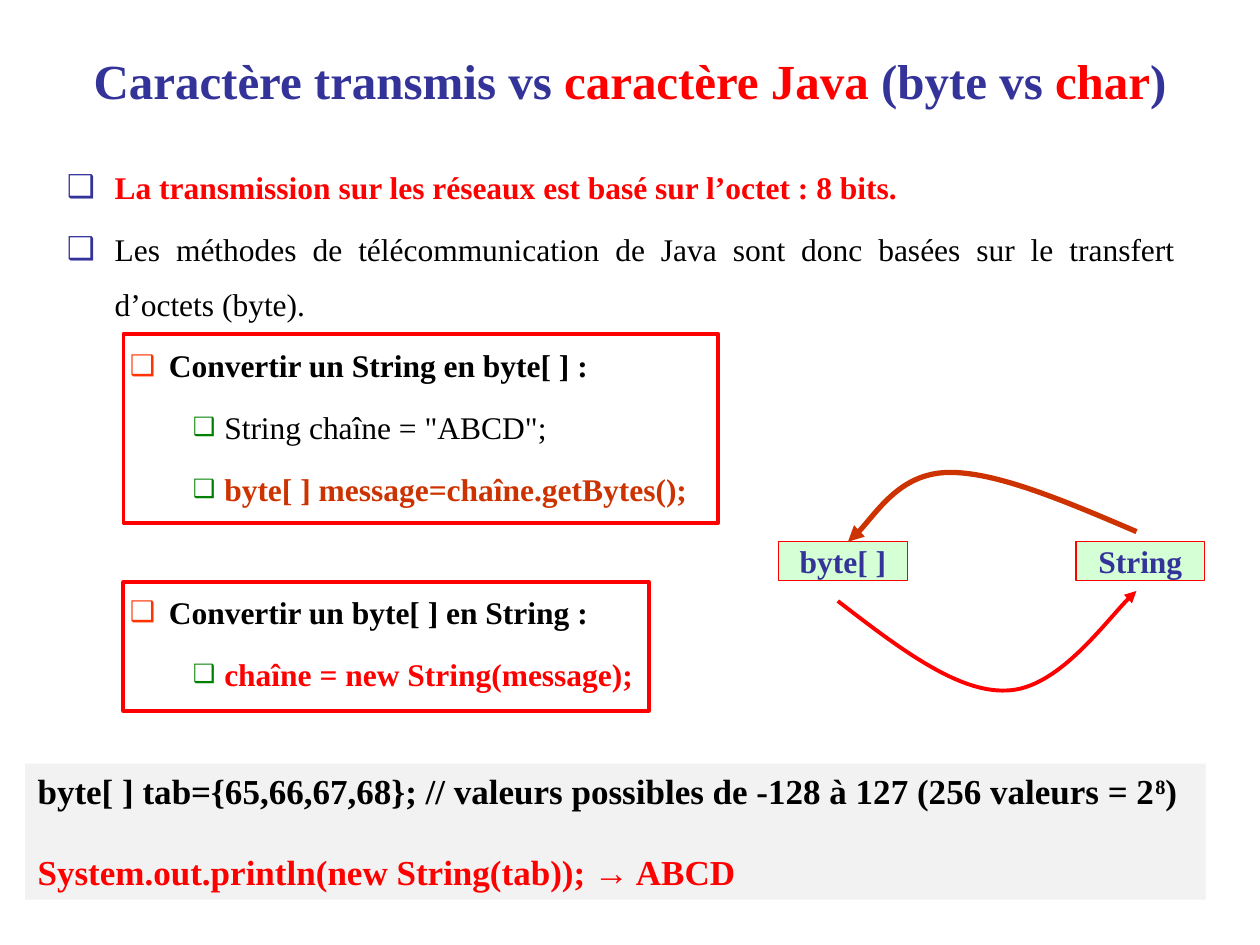
import dataclasses
import typing

import lxml.etree
import pptx
import pptx.dml.color
import pptx.enum.shapes
import pptx.enum.text
import pptx.oxml.ns
import pptx.util

Inches = pptx.util.Inches
Pt = pptx.util.Pt
RGBColor = pptx.dml.color.RGBColor
Align = pptx.enum.text.PP_ALIGN
Anchor = pptx.enum.text.MSO_ANCHOR
qn = pptx.oxml.ns.qn

FONT = "Times New Roman"
NAVY = RGBColor(0x33, 0x33, 0x99)
RED = RGBColor(0xFF, 0x00, 0x00)
BLACK = RGBColor(0x00, 0x00, 0x00)
RUST = RGBColor(0xCC, 0x33, 0x00)
ORANGE = RGBColor(0xFF, 0x33, 0x00)
GREEN = RGBColor(0x00, 0x80, 0x00)
MINT = RGBColor(0xD5, 0xFF, 0xD5)
GREY = RGBColor(0xF2, 0xF2, 0xF2)

Point = tuple[float, float]


@dataclasses.dataclass(frozen=True)
class Box:
    left: float
    top: float
    width: float
    height: float


@dataclasses.dataclass(frozen=True)
class BulletLevel:
    margin: float
    hanging: float
    color: RGBColor
    percent: int


@dataclasses.dataclass(frozen=True)
class Item:
    text: str
    level: int
    color: RGBColor = BLACK
    bold: bool = True
    space_before: float = 4


@dataclasses.dataclass(frozen=True)
class Arrow:
    points: tuple[Point, ...]
    color: RGBColor
    weight: float


LEVELS = (
    BulletLevel(0.38, 0.38, NAVY, 100),
    BulletLevel(0.81, 0.31, ORANGE, 90),
    BulletLevel(1.25, 0.25, GREEN, 80),
)

ITEMS = (
    Item("La transmission sur les réseaux est basé sur l’octet : 8 bits.", 0, RED),
    Item("Les méthodes de télécommunication de Java sont donc basées sur le "
         "transfert d’octets (byte).", 0, bold=False),
    Item("Convertir un String en byte[ ] :", 1),
    Item('String chaîne = "ABCD";', 2, bold=False),
    Item("byte[ ] message=chaîne.getBytes();", 2, RUST),
    Item("Convertir un byte[ ] en String :", 1, space_before=39),
    Item("chaîne = new String(message);", 2, RED),
)

TITLE_PARTS = (
    ("Caractère transmis vs ", NAVY),
    ("caractère Java", RED),
    (" (byte vs ", NAVY),
    ("char", RED),
    (")", NAVY),
)

TYPE_LABELS = (("String", 8.54), ("byte[ ]", 6.18))

CONVERSIONS = (
    Arrow(((9.02, 4.22), (8.46, 3.98), (7.9, 3.74), (7.52, 3.75),
           (7.14, 3.76), (6.86, 4.21), (6.73, 4.3)), RUST, 3),
    Arrow(((6.65, 4.77), (7.13, 5.14), (7.6, 5.5), (7.99, 5.48),
           (8.39, 5.47), (8.85, 4.83), (9.02, 4.69)), RED, 2.25),
)

CODE_FRAMES = (Box(0.98, 2.65, 4.72, 1.5), Box(0.98, 4.62, 4.17, 1.02))


def add_run(paragraph, text: str, *, size: float = 18, color: RGBColor = BLACK,
            bold: bool = True, superscript: bool = False) -> None:
    run = paragraph.add_run()
    run.text = text
    run.font.name = FONT
    run.font.size = Pt(size)
    run.font.bold = bold
    run.font.color.rgb = color
    if superscript:
        run._r.get_or_add_rPr().set("baseline", "30000")


def place(placeholder, box: Box) -> None:
    placeholder.left, placeholder.top = Inches(box.left), Inches(box.top)
    placeholder.width, placeholder.height = Inches(box.width), Inches(box.height)
    placeholder.text_frame.auto_size = pptx.enum.text.MSO_AUTO_SIZE.NONE


def set_bullet(paragraph, bullet: BulletLevel) -> None:
    properties = paragraph._p.get_or_add_pPr()
    properties.set("marL", str(Inches(bullet.margin)))
    properties.set("indent", str(-Inches(bullet.hanging)))
    color = lxml.etree.SubElement(properties, qn("a:buClr"))
    lxml.etree.SubElement(color, qn("a:srgbClr"), val=str(bullet.color))
    lxml.etree.SubElement(properties, qn("a:buSzPct"), val=str(bullet.percent * 1000))
    lxml.etree.SubElement(properties, qn("a:buChar"), char="❑")


def add_item(paragraph, item: Item) -> None:
    paragraph.level = item.level
    paragraph.alignment = Align.JUSTIFY
    paragraph.line_spacing = 1.45
    paragraph.space_before = Pt(item.space_before)
    set_bullet(paragraph, LEVELS[item.level])
    add_run(paragraph, item.text, color=item.color, bold=item.bold)


def add_rectangle(slide, box: Box, *, fill: typing.Optional[RGBColor] = None,
                  line: typing.Optional[RGBColor] = None, weight: float = 2.25):
    rectangle = slide.shapes.add_shape(
        pptx.enum.shapes.MSO_SHAPE.RECTANGLE, Inches(box.left), Inches(box.top),
        Inches(box.width), Inches(box.height))
    rectangle.shadow.inherit = False
    if fill is None:
        rectangle.fill.background()
    else:
        rectangle.fill.solid()
        rectangle.fill.fore_color.rgb = fill
    if line is None:
        rectangle.line.fill.background()
    else:
        rectangle.line.color.rgb = line
        rectangle.line.width = Pt(weight)
    return rectangle


def add_type_label(slide, text: str, left: float) -> None:
    label = add_rectangle(slide, Box(left, 4.3, 1.02, 0.31), fill=MINT, line=RED, weight=0.75)
    frame = label.text_frame
    frame.margin_left = frame.margin_right = frame.margin_top = frame.margin_bottom = 0
    frame.vertical_anchor = Anchor.MIDDLE
    frame.paragraphs[0].alignment = Align.CENTER
    add_run(frame.paragraphs[0], text, color=NAVY)


def add_curved_arrow(slide, arrow: Arrow) -> None:
    start, *controls = [(Inches(x), Inches(y)) for x, y in arrow.points]
    builder = slide.shapes.build_freeform(*start)
    builder.add_line_segments(controls, close=False)
    curve = builder.convert_to_shape()
    segments = list(curve._element.iter(qn("a:lnTo")))
    for first in range(0, len(segments), 3):
        bezier = lxml.etree.Element(qn("a:cubicBezTo"))
        segments[first].addprevious(bezier)
        for segment in segments[first:first + 3]:
            bezier.append(segment[0])
            segment.getparent().remove(segment)
    curve.shadow.inherit = False
    curve.fill.background()
    curve.line.color.rgb = arrow.color
    curve.line.width = Pt(arrow.weight)
    lxml.etree.SubElement(curve.line._get_or_add_ln(), qn("a:tailEnd"), type="triangle")


def add_example(slide) -> None:
    frame = add_rectangle(slide, Box(0.2, 6.06, 9.37, 1.08), fill=GREY).text_frame
    frame.word_wrap = True
    frame.vertical_anchor = Anchor.TOP
    declaration, output = frame.paragraphs[0], frame.add_paragraph()
    for paragraph, gap in ((declaration, 4), (output, 22)):
        paragraph.alignment = Align.LEFT
        paragraph.space_before = Pt(gap)
    add_run(declaration, "byte[ ] tab={65,66,67,68}; // valeurs possibles de "
            "-128 à 127 (256 valeurs = 2", size=20)
    add_run(declaration, "8", size=20, superscript=True)
    add_run(declaration, ")", size=20)
    add_run(output, "System.out.println(new String(tab)); → ABCD", size=20, color=RED)


def main() -> None:
    deck = pptx.Presentation()
    deck.slide_width, deck.slide_height = Inches(10), Inches(7.5)
    slide = deck.slides.add_slide(deck.slide_layouts[1])
    title, body = slide.shapes.title, slide.placeholders[1]
    place(title, Box(0.5, 0.28, 9, 0.71))
    title.text_frame.vertical_anchor = Anchor.MIDDLE
    heading = title.text_frame.paragraphs[0]
    heading.alignment = Align.CENTER
    for text, color in TITLE_PARTS:
        add_run(heading, text, size=28, color=color)
    place(body, Box(0.43, 1.15, 9, 5.59))
    for index, item in enumerate(ITEMS):
        frame = body.text_frame
        add_item(frame.add_paragraph() if index else frame.paragraphs[0], item)
    for text, left in TYPE_LABELS:
        add_type_label(slide, text, left)
    for arrow in CONVERSIONS:
        add_curved_arrow(slide, arrow)
    for box in CODE_FRAMES:
        add_rectangle(slide, box, line=RED)
    add_example(slide)
    deck.save("out.pptx")


if __name__ == "__main__":
    main()
